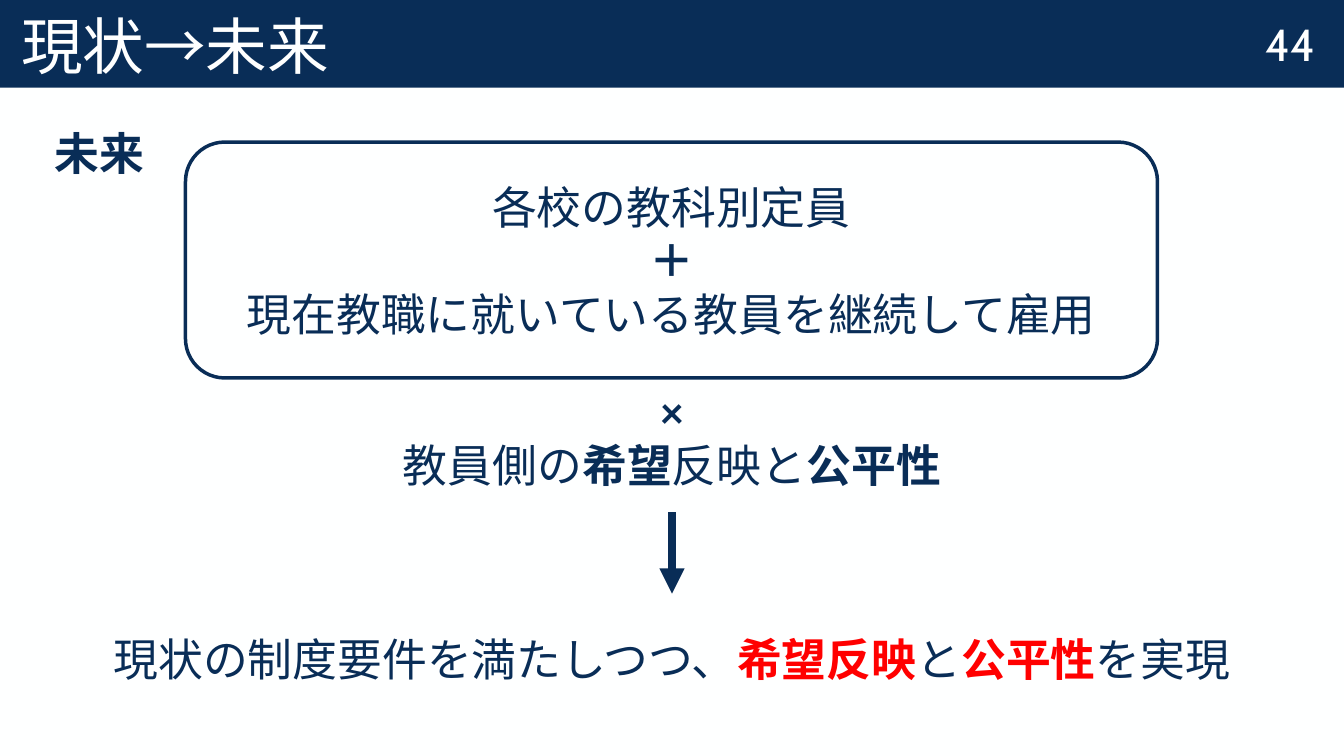
from lxml import etree
from pptx import Presentation
from pptx.dml.color import RGBColor
from pptx.enum.shapes import MSO_CONNECTOR, MSO_SHAPE
from pptx.enum.text import MSO_ANCHOR, PP_ALIGN
from pptx.oxml.ns import qn
from pptx.util import Inches, Pt

RECT, ROUNDED = MSO_SHAPE.RECTANGLE, MSO_SHAPE.ROUNDED_RECTANGLE
STRAIGHT = MSO_CONNECTOR.STRAIGHT
LEFT, CENTER = PP_ALIGN.LEFT, PP_ALIGN.CENTER
MIDDLE, BOTTOM = MSO_ANCHOR.MIDDLE, MSO_ANCHOR.BOTTOM

THEME = {
    "navy": RGBColor(0x09, 0x2D, 0x57),
    "paper": RGBColor(0xFE, 0xFF, 0xFF),
    "red": RGBColor(0xFF, 0x00, 0x00),
    "font": "Cabin",
    "symbol_font": "Calibri",
    "title": Pt(44),
    "body": Pt(32),
    "outline": Pt(2.5),
    "arrow": Pt(6),
}

SLIDE_W, SLIDE_H = 13.33, 7.5

TITLE = [[("現状→未来", "paper", False)]]
NUMBER = [[("44", "paper", False)]]
LABEL = [[("未来", "navy", True)]]
CONDITIONS = [
    [("各校の教科別定員", "navy", False)],
    [("＋", "navy", True)],
    [("現在教職に就いている教員を継続して雇用", "navy", False)],
]
WISHES = [
    [("×", "navy", True)],
    [
        ("教員側の", "navy", False),
        ("希望", "navy", True),
        ("反映と", "navy", False),
        ("公平性", "navy", True),
    ],
]
RESULT = [[
    ("現状の制度要件を満たしつつ、", "navy", False),
    ("希望反映", "red", True),
    ("と", "navy", False),
    ("公平性", "red", True),
    ("を実現", "navy", False),
]]

TITLE_BOX = (0, 0, SLIDE_W, 0.87)
NUMBER_BOX = (12.28, 0, 1.04, 0.86)
CONDITIONS_BOX = (1.84, 1.41, 9.64, 2.34)
LABEL_BOX = (0.25, 1.19, 1.48, 0.64)
WISHES_BOX = (0, 3.75, SLIDE_W, 1.18)
RESULT_BOX = (0, 6.21, SLIDE_W, 0.64)
ARROW_TOP, ARROW_BOTTOM = 5.08, 5.89


def write(s, lines, size="body", font="font", align=CENTER, anchor=MIDDLE):
    tf = s.text_frame
    tf.word_wrap = True
    tf.vertical_anchor = anchor
    for i, line in enumerate(lines):
        p = tf.add_paragraph() if i else tf.paragraphs[0]
        p.alignment = align
        for text, color, bold in line:
            r = p.add_run()
            r.text = text
            r.font.name = THEME[font]
            r.font.size = THEME[size]
            r.font.bold = bold
            r.font.color.rgb = THEME[color]
    return tf


def add_text(slide, box, lines, **style):
    s = slide.shapes.add_textbox(*map(Inches, box))
    write(s, lines, **style)


def add_panel(slide, kind, box):
    s = slide.shapes.add_shape(kind, *map(Inches, box))
    s.shadow.inherit = False
    return s


def add_title(slide):
    s = add_panel(slide, RECT, TITLE_BOX)
    s.fill.solid()
    s.fill.fore_color.rgb = THEME["navy"]
    s.line.fill.background()
    tf = write(s, TITLE, size="title", align=LEFT, anchor=BOTTOM)
    tf.margin_left = Inches(0.21)
    tf.paragraphs[0].line_spacing = 0.9


def add_conditions(slide):
    s = add_panel(slide, ROUNDED, CONDITIONS_BOX)
    s.fill.background()
    s.line.color.rgb = THEME["navy"]
    s.line.width = THEME["outline"]
    write(s, CONDITIONS)


def add_arrow(slide):
    x = Inches(SLIDE_W / 2)
    s = slide.shapes.add_connector(STRAIGHT, x, Inches(ARROW_TOP), x, Inches(ARROW_BOTTOM))
    s.line.color.rgb = THEME["navy"]
    s.line.width = THEME["arrow"]
    etree.SubElement(s.line._get_or_add_ln(), qn("a:tailEnd"), type="triangle")
    etree.SubElement(s._element.spPr, qn("a:effectLst"))


def main():
    prs = Presentation()
    prs.slide_width, prs.slide_height = Inches(SLIDE_W), Inches(SLIDE_H)
    slide = prs.slides.add_slide(prs.slide_layouts[6])
    slide.background.fill.solid()
    slide.background.fill.fore_color.rgb = THEME["paper"]
    add_title(slide)
    add_text(slide, NUMBER_BOX, NUMBER)
    add_conditions(slide)
    add_text(slide, LABEL_BOX, LABEL)
    add_text(slide, WISHES_BOX, WISHES, font="symbol_font")
    add_arrow(slide)
    add_text(slide, RESULT_BOX, RESULT)
    prs.save("out.pptx")


if __name__ == "__main__":
    main()
